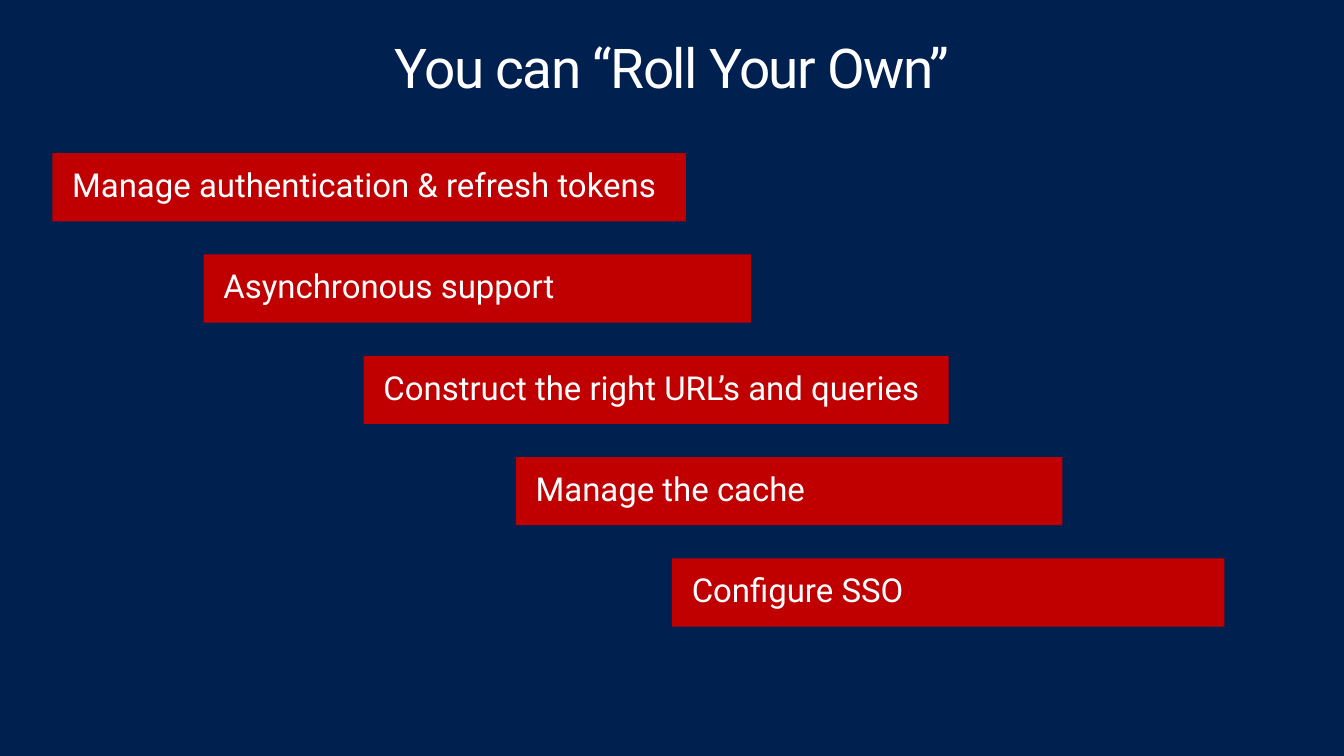
from dataclasses import dataclass

from pptx import Presentation
from pptx.dml.color import RGBColor
from pptx.enum.shapes import MSO_SHAPE
from pptx.enum.text import MSO_ANCHOR, PP_ALIGN
from pptx.util import Inches, Pt

RECTANGLE = MSO_SHAPE.RECTANGLE
TOP = MSO_ANCHOR.TOP
LEFT, CENTER = PP_ALIGN.LEFT, PP_ALIGN.CENTER
TITLE_ONLY = 5

TITLE = "You can “Roll Your Own”"
TASKS = [
    ("Manage authentication & refresh tokens", 0.53, 6.41),
    ("Asynchronous support", 2.06, 5.54),
    ("Construct the right URL’s and queries", 3.68, 5.92),
    ("Manage the cache", 5.22, 5.53),
    ("Configure SSO", 6.8, 5.59),
]
FIRST_TASK_TOP, LAST_TASK_TOP = 1.55, 5.65
TASK_HEIGHT = 0.69


@dataclass(frozen=True)
class Theme:
    """Colours, font and type sizes of the slide."""

    background: RGBColor = RGBColor(0x00, 0x20, 0x50)
    bar: RGBColor = RGBColor(0xC0, 0x00, 0x00)
    text: RGBColor = RGBColor(0xFF, 0xFF, 0xFF)
    font: str = "Roboto"
    title_size: int = 40
    task_size: int = 24
    line_spacing: float = 0.9


class SlideBuilder:
    """Adds styled elements to the current slide."""

    def __init__(self, slide, theme):
        """Keep the slide and theme and paint the background."""
        self.slide = slide
        self.theme = theme
        fill = slide.background.fill
        fill.solid()
        fill.fore_color.rgb = theme.background

    def add_text(self, shape, text, size, alignment, margins):
        """Fill a shape with one styled run and return the run."""
        frame = shape.text_frame
        frame.word_wrap = True
        frame.vertical_anchor = TOP
        horizontal, vertical = margins
        frame.margin_left = frame.margin_right = Inches(horizontal)
        frame.margin_top = frame.margin_bottom = Inches(vertical)
        paragraph = frame.paragraphs[0]
        paragraph.alignment = alignment
        paragraph.line_spacing = self.theme.line_spacing
        run = paragraph.add_run()
        run.text = text
        run.font.name = self.theme.font
        run.font.size = Pt(size)
        run.font.color.rgb = self.theme.text
        return run

    def add_title(self, text):
        """Place and fill the title placeholder."""
        shape = self.slide.shapes.title
        shape.left, shape.top = Inches(0.3), Inches(0.32)
        shape.width, shape.height = Inches(13), Inches(1)
        run = self.add_text(shape, text, self.theme.title_size, CENTER, (0.16, 0.1))
        run.font._element.set("spc", "-100")

    def add_task_bar(self, text, left, top, width):
        """Add a filled bar naming one task."""
        shape = self.slide.shapes.add_shape(
            RECTANGLE, Inches(left), Inches(top), Inches(width), Inches(TASK_HEIGHT)
        )
        shape.shadow.inherit = False
        shape.fill.solid()
        shape.fill.fore_color.rgb = self.theme.bar
        shape.line.fill.background()
        self.add_text(shape, text, self.theme.task_size, LEFT, (0.2, 0.16))


def main():
    """Build and save the presentation."""
    presentation = Presentation()
    presentation.slide_width = Inches(13.6)
    presentation.slide_height = Inches(7.65)
    slide = presentation.slides.add_slide(presentation.slide_layouts[TITLE_ONLY])
    builder = SlideBuilder(slide, Theme())
    builder.add_title(TITLE)
    step = (LAST_TASK_TOP - FIRST_TASK_TOP) / (len(TASKS) - 1)
    for index, (text, left, width) in enumerate(TASKS):
        builder.add_task_bar(text, left, FIRST_TASK_TOP + index * step, width)
    presentation.save("out.pptx")


if __name__ == "__main__":
    main()
